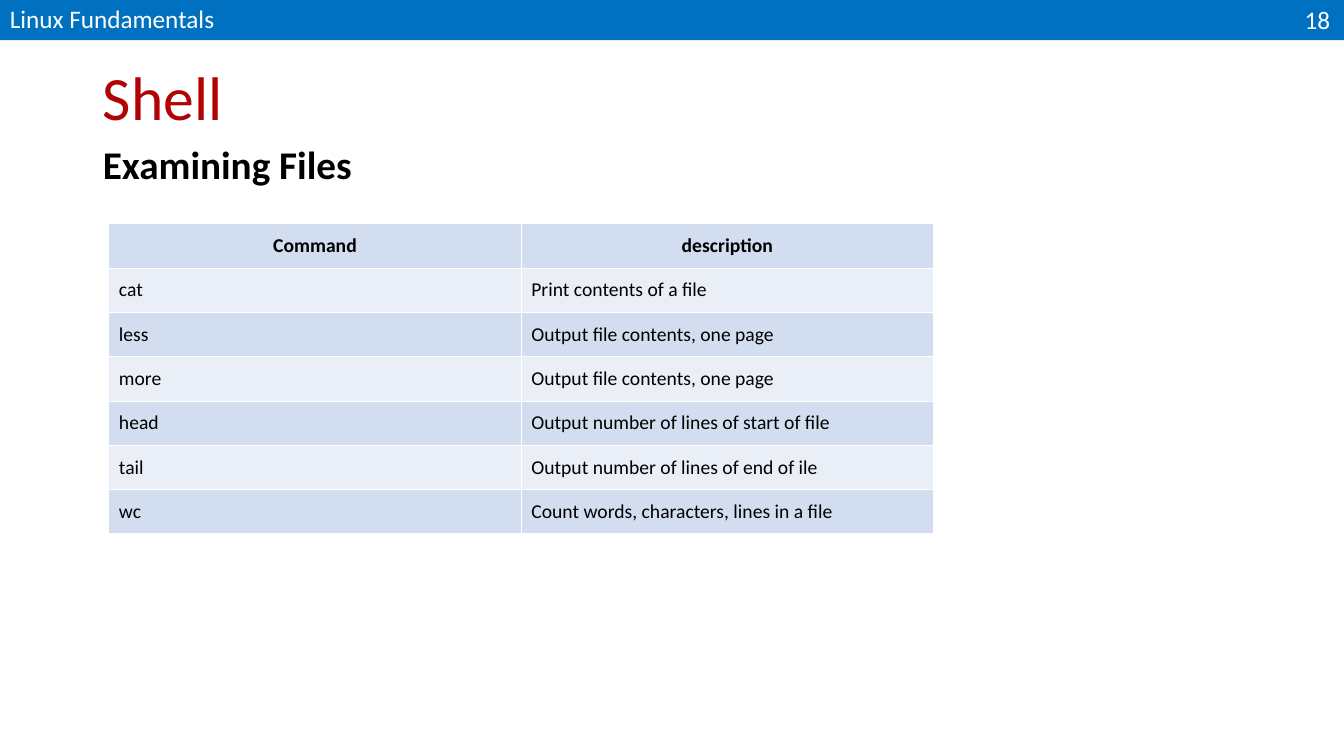
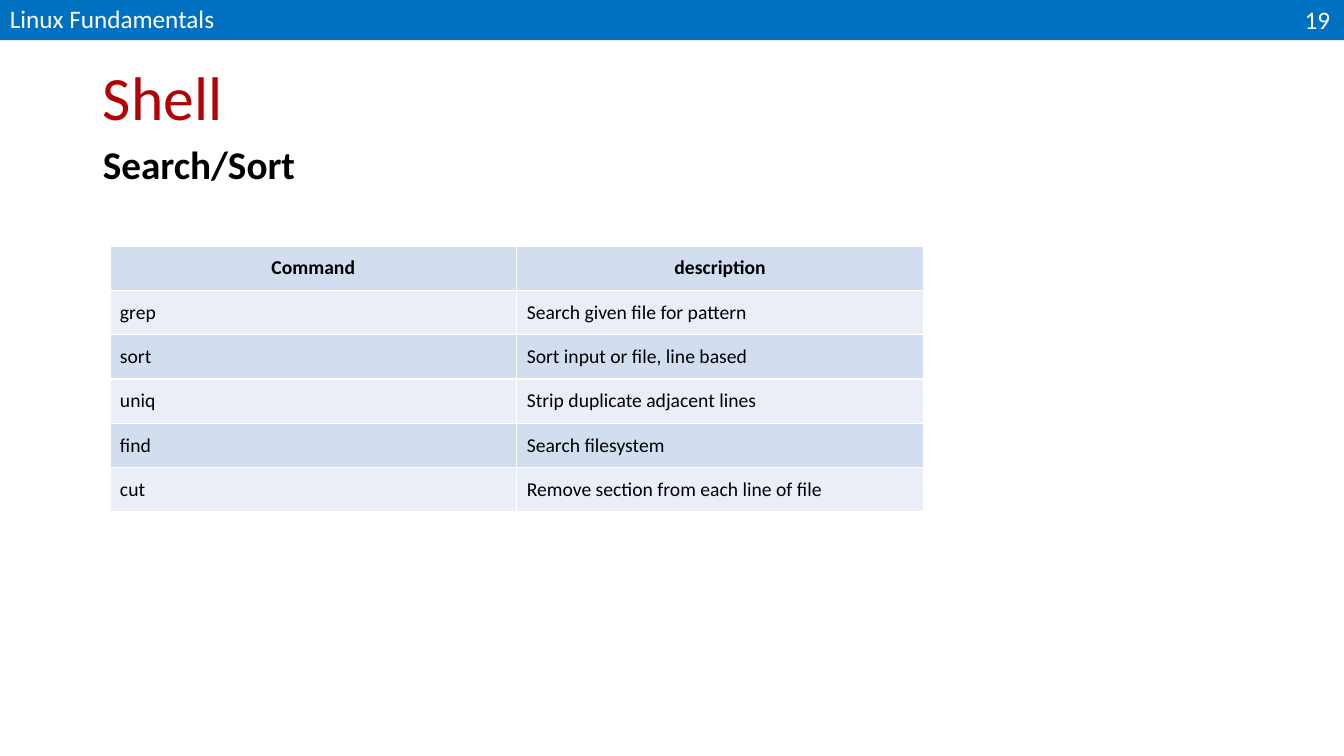
from lxml import etree
from pptx import Presentation
from pptx.dml.color import RGBColor
from pptx.enum import shapes, text
from pptx.oxml import ns
from pptx.util import Inches, Pt

FONT = "Calibri"
BLUE = RGBColor(0x00, 0x70, 0xC0)
RED = RGBColor(0xB2, 0x02, 0x04)
BLACK = RGBColor(0, 0, 0)
WHITE = RGBColor(255, 255, 255)
DARK = RGBColor(0xD2, 0xDE, 0xEF)
PALE = RGBColor(0xEA, 0xEF, 0xF7)

WIDTH, HEIGHT = 13.33, 7.5
ROW = 0.44
FIRST = 18
HEAD = ("Command", "description")

# Heading, table box (left, top, width), rows
PAGES = [
    ("Examining Files", (1.08, 2.22, 8.18), [
        ("cat", "Print contents of a file"),
        ("less", "Output file contents, one page"),
        ("more", "Output file contents, one page"),
        ("head", "Output number of lines of start of file"),
        ("tail", "Output number of lines of end of ile"),
        ("wc", "Count words, characters, lines in a file"),
    ]),
    ("Search/Sort", (1.09, 2.44, 8.07), [
        ("grep", "Search given file for pattern"),
        ("sort", "Sort input or file, line based"),
        ("uniq", "Strip duplicate adjacent lines"),
        ("find", "Search filesystem"),
        ("cut", "Remove section from each line of file"),
    ]),
]


def write(frame, words, size, color, bold=False, align=text.PP_ALIGN.LEFT):
    frame.text = words
    para = frame.paragraphs[0]
    para.alignment = align
    font = para.runs[0].font
    font.name, font.size, font.bold = FONT, Pt(size), bold
    font.color.rgb = color
    return para


def place(shape, box):
    shape.left, shape.top, shape.width, shape.height = map(Inches, box)


def add_band(slide, number):
    bar = slide.shapes.add_shape(shapes.MSO_SHAPE.RECTANGLE, 0, 0,
                                 Inches(WIDTH), Inches(0.4))
    bar.shadow.inherit = False
    bar.fill.solid()
    bar.fill.fore_color.rgb = BLUE
    bar.line.fill.background()
    labels = [
        ((0, -0.02, 4.5, 0.4), "Linux Fundamentals", text.PP_ALIGN.LEFT),
        ((12.52, -0.01, 0.77, 0.41), str(number), text.PP_ALIGN.RIGHT),
    ]
    for box, words, align in labels:
        label = slide.shapes.add_textbox(*map(Inches, box))
        frame = label.text_frame
        frame.word_wrap = True
        frame.vertical_anchor = text.MSO_ANCHOR.MIDDLE
        write(frame, words, 18, WHITE, align=align)


def add_heads(slide, heading):
    """Fill the title and body placeholders."""
    title, body = slide.shapes.title, slide.placeholders[1]
    place(title, (0.92, 0.4, 11.5, 1.19))
    place(body, (0.92, 1.39, 11.5, 4.96))
    title.text_frame.vertical_anchor = text.MSO_ANCHOR.MIDDLE
    name = write(title.text_frame, "Shell", 44, RED)
    topic = write(body.text_frame, heading, 28, BLACK, bold=True)
    for shape, para in ((title, name), (body, topic)):
        shape.text_frame.auto_size = text.MSO_AUTO_SIZE.NONE
        para.line_spacing = 0.9
        para.space_before = Pt(0)
    props = topic._p.get_or_add_pPr()
    props.set("marL", "0")
    props.set("indent", "0")
    etree.SubElement(props, ns.qn("a:buNone"))


def add_edges(cell):
    props = cell._tc.get_or_add_tcPr()
    for side in ("lnL", "lnR", "lnT", "lnB"):
        line = etree.SubElement(props, ns.qn("a:" + side), w=str(Pt(1)))
        fill = etree.SubElement(line, ns.qn("a:solidFill"))
        etree.SubElement(fill, ns.qn("a:srgbClr"), val=str(WHITE))


def add_grid(slide, box, rows):
    left, top, width = box
    lines = [HEAD, *rows]
    frame = slide.shapes.add_table(
        len(lines), len(HEAD), Inches(left), Inches(top),
        Inches(width), Inches(ROW * len(lines)))
    for i, line in enumerate(lines):
        for j, words in enumerate(line):
            cell = frame.table.cell(i, j)
            add_edges(cell)
            cell.fill.solid()
            cell.fill.fore_color.rgb = PALE if i % 2 else DARK
            cell.margin_left = cell.margin_right = Inches(0.1)
            cell.margin_top = cell.margin_bottom = Inches(0.1)
            align = text.PP_ALIGN.LEFT if i else text.PP_ALIGN.CENTER
            write(cell.text_frame, words, 14, BLACK, i == 0, align)


def main():
    deck = Presentation()
    deck.slide_width, deck.slide_height = Inches(WIDTH), Inches(HEIGHT)
    for number, (heading, box, rows) in enumerate(PAGES, FIRST):
        slide = deck.slides.add_slide(deck.slide_layouts[1])
        add_band(slide, number)
        add_heads(slide, heading)
        add_grid(slide, box, rows)
    deck.save("out.pptx")


if __name__ == "__main__":
    main()
